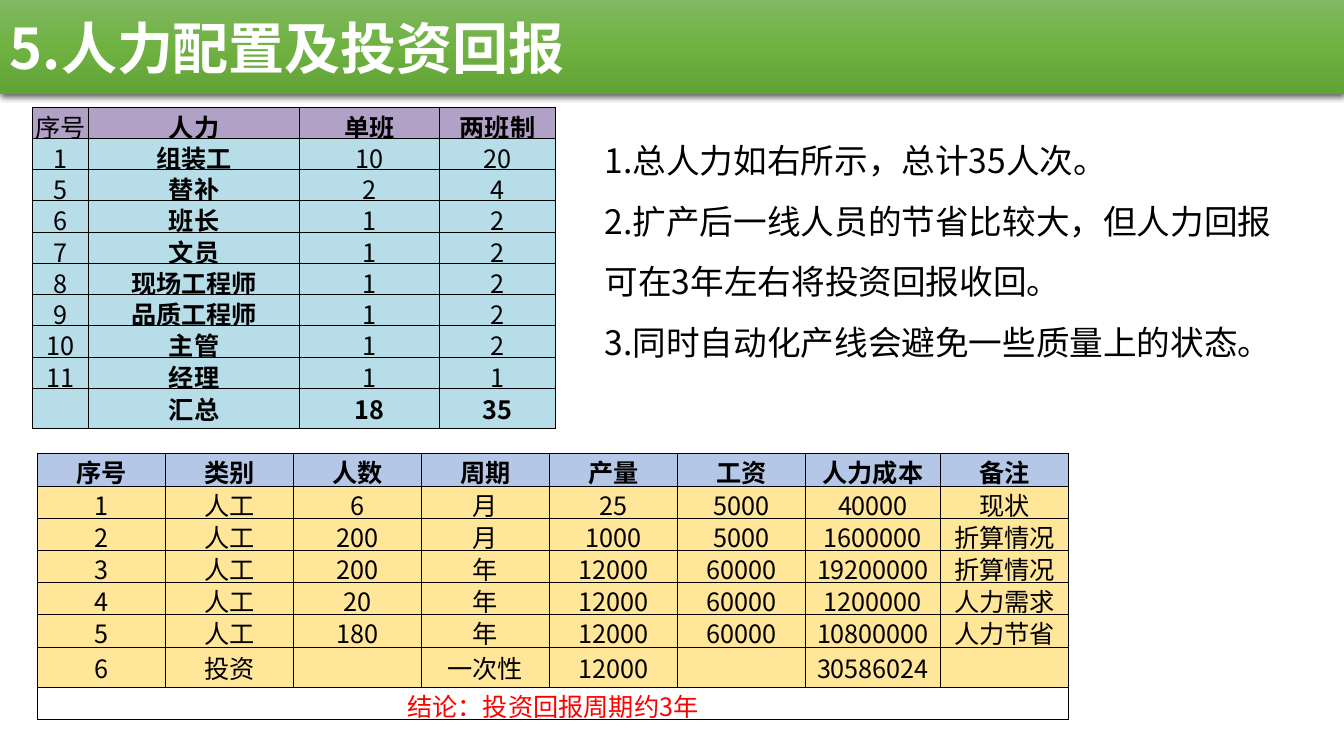
from pptx import Presentation, dml, util as u
from pptx.dml import color
from pptx.enum import shapes, text
from pptx.oxml import parse_xml
from pptx.oxml.ns import qn

NS = 'xmlns:a="http://schemas.openxmlformats.org/drawingml/2006/main"'
WIDE, HIGH = 13.33, 7.5
LEFT, MID = text.PP_ALIGN.LEFT, text.PP_ALIGN.CENTER


def paint(code):
    return color.RGBColor.from_string(code)


def write(para, words, size=18, font="Noto Sans CJK TC", ink="000000",
          bold=False, align=LEFT, space=None):
    para.alignment = align
    if space:
        para.line_spacing = space
    run = para.add_run()
    run.text = words
    run.font.size, run.font.bold = u.Pt(size), bold
    run.font.color.rgb = paint(ink)
    run.font.name = font
    run.font._element.append(parse_xml(f'<a:ea {NS} typeface="{font}"/>'))


class Page:
    """Places parts by shares of the slide's size."""

    def __init__(self, deck):
        deck.slide_width, deck.slide_height = u.Inches(WIDE), u.Inches(HIGH)
        self.items = deck.slides.add_slide(deck.slide_layouts[6]).shapes

    def area(self, x, y, w, h):
        return [u.Inches(round(part * full, 2)) for part, full
                in zip((x, y, w, h), (WIDE, HIGH, WIDE, HIGH))]

    def banner(self, box, words, tints):
        bar = self.items.add_shape(shapes.MSO_SHAPE.RECTANGLE, *self.area(*box))
        bar.line.fill.background()
        stops = "".join(
            f'<a:gs pos="{i * 50000}"><a:srgbClr val="{tint}"/></a:gs>'
            for i, tint in enumerate(tints))
        props = bar._element.spPr
        props.insert(2, parse_xml(
            f'<a:gradFill {NS} rotWithShape="1"><a:gsLst>{stops}</a:gsLst>'
            '<a:lin ang="5400000" scaled="0"/></a:gradFill>'))
        props.append(parse_xml(
            f'<a:effectLst {NS}><a:outerShdw blurRad="57150" dist="19050" '
            'dir="5400000" algn="ctr" rotWithShape="0"><a:srgbClr val="000000">'
            '<a:alpha val="63000"/></a:srgbClr></a:outerShdw></a:effectLst>'))
        bar.text_frame.vertical_anchor = text.MSO_ANCHOR.MIDDLE
        write(bar.text_frame.paragraphs[0], words, size=40, ink="FFFFFF",
              bold=True, font="Noto Sans CJK SC")

    def notes(self, box, lines):
        frame = self.items.add_textbox(*self.area(*box)).text_frame
        frame.word_wrap = True
        frame.auto_size = text.MSO_AUTO_SIZE.SHAPE_TO_FIT_TEXT
        for i, line in enumerate(lines):
            para = frame.add_paragraph() if i else frame.paragraphs[0]
            write(para, line, size=24, space=1.5)

    def edge(self, cell):
        props = cell._tc.get_or_add_tcPr()
        for i, side in enumerate(("lnL", "lnR", "lnT", "lnB")):
            props.insert(i, parse_xml(
                f'<a:{side} {NS} w="6350"><a:solidFill><a:srgbClr val="000000"/>'
                f'</a:solidFill></a:{side}>'))

    def grid(self, box, rows, cols, highs, pad, fill, style):
        """fill(r) gives a row's colour, style(r, c) a cell's text format."""
        item = self.items.add_table(len(rows), len(cols), *self.area(*box))
        table = item.table
        table.first_row = table.horz_banding = False
        tag = table._tbl.tblPr.find(qn("a:tableStyleId"))
        tag.text = "{2D5ABB26-0587-4C30-8999-92F81FD0307C}"
        for col, wide in zip(table.columns, cols):
            col.width = u.Inches(wide)
        for row, high in zip(table.rows, highs):
            row.height = u.Inches(high)
        item.height = self.area(*box)[3]
        for r, row in enumerate(rows):
            for c, words in enumerate(row):
                cell = table.cell(r, c)
                if fill(r):
                    cell.fill.solid()
                    cell.fill.fore_color.rgb = paint(fill(r))
                else:
                    cell.fill.background()
                self.edge(cell)
                if words:
                    cell.margin_left = cell.margin_right = u.Inches(pad)
                    cell.margin_top, cell.margin_bottom = u.Inches(pad), 0
                    cell.vertical_anchor = text.MSO_ANCHOR.MIDDLE
                    write(cell.text_frame.paragraphs[0], words, align=MID,
                          **style(r, c))
        return table


def main():
    deck = Presentation()
    page = Page(deck)

    # Title bar
    page.banner((0, 0, 1, 0.124), "5.人力配置及投资回报",
                ("81B861", "6FB242", "62A336"))

    # Remarks
    page.notes((0.4426, 0.152, 0.5259, 0.336), (
        "1.总人力如右所示，总计35人次。",
        "2.扩产后一线人员的节省比较大，但人力回报可在3年左右将投资回报收回。",
        "3.同时自动化产线会避免一些质量上的状态。"))

    # Staff table
    staff = [
        ("序号", "人力", "单班", "两班制"),
        ("1", "组装工", "10", "20"),
        ("5", "替补", "2", "4"),
        ("6", "班长", "1", "2"),
        ("7", "文员", "1", "2"),
        ("8", "现场工程师", "1", "2"),
        ("9", "品质工程师", "1", "2"),
        ("10", "主管", "1", "2"),
        ("11", "经理", "1", "1"),
        ("", "汇总", "18", "35")]
    last = len(staff) - 1
    page.grid((0.024, 0.1413, 0.3893, 0.4227), staff, (0.56, 2.09, 1.39, 1.15),
              [0.25] * last + [0.38], 0.01,
              lambda r: "B6DDE8" if r else "B2A1C7",
              lambda r, c: {"bold": c == 1 or (c > 1 and r in (0, last))})

    # Cost table, closed by one merged row
    cost = [
        ("序号", "类别", "人数", "周期", "产量", "工资", "人力成本", "备注"),
        ("1", "人工", "6", "月", "25", "5000", "40000", "现状"),
        ("2", "人工", "200", "月", "1000", "5000", "1600000", "折算情况"),
        ("3", "人工", "200", "年", "12000", "60000", "19200000", "折算情况"),
        ("4", "人工", "20", "年", "12000", "60000", "1200000", "人力需求"),
        ("5", "人工", "180", "年", "12000", "60000", "10800000", "人力节省"),
        ("6", "投资", "", "一次性", "12000", "", "30586024", ""),
        ("结论：投资回报周期约3年",) + ("",) * 7]
    end = len(cost) - 1
    table = page.grid(
        (0.0278, 0.6, 0.7682, 0.3467), cost, [1.27] * 6 + [1.34, 1.27],
        [0.32] * len(cost), 0,
        lambda r: None if r == end else "FFE699" if r else "B4C7E7",
        lambda r, c: {"bold": r == 0, "ink": "FF0000" if r == end else "000000"})
    table.cell(end, 0).merge(table.cell(end, 7))

    deck.save("out.pptx")


if __name__ == "__main__":
    main()
